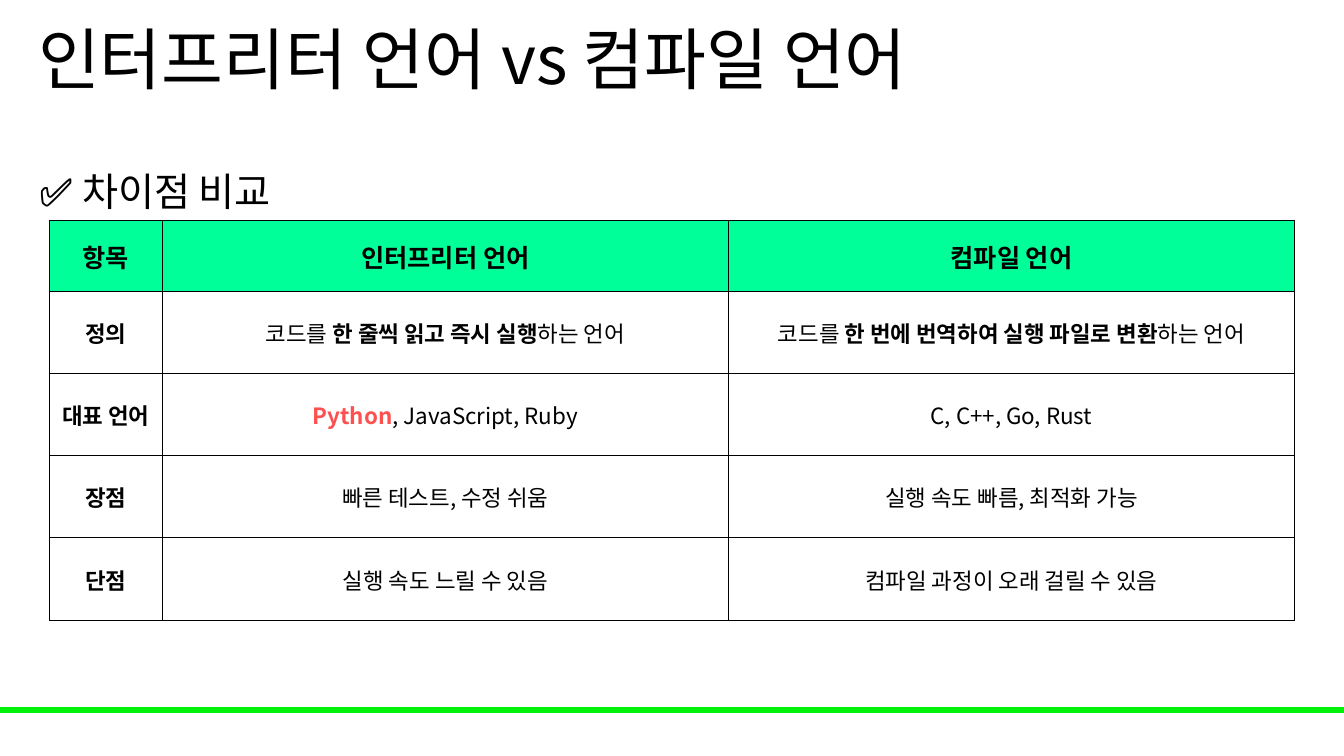
from dataclasses import dataclass

from lxml import etree
from pptx import Presentation
from pptx.dml.color import RGBColor
from pptx.enum import shapes, text
from pptx.oxml import ns
from pptx.util import Inches, Pt


@dataclass(frozen=True)
class Theme:
    font: str = "Noto Sans CJK KR"
    ink: str = "000000"
    accent: str = "FF5050"
    header: str = "00FF99"
    bar: str = "00F209"
    title: int = 48
    subtitle: int = 28
    head: int = 18
    body: int = 16
    border: float = 0.5


THEME = Theme()
HEADINGS = ["항목", "인터프리터 언어", "컴파일 언어"]
# A cell is a list of runs: (text, bold, colour)
PLAIN = (False, THEME.ink)
BOLD = (True, THEME.ink)
HIGHLIGHT = (True, THEME.accent)
ROWS = [
    ("정의",
     [("코드를 ", *PLAIN), ("한 줄씩 읽고 즉시 실행", *BOLD), ("하는 언어", *PLAIN)],
     [("코드를 ", *PLAIN), ("한 번에 번역하여 실행 파일로 변환", *BOLD), ("하는 언어", *PLAIN)]),
    ("대표 언어",
     [("Python", *HIGHLIGHT), (", JavaScript, Ruby", *PLAIN)],
     [("C, C++, Go, Rust", *PLAIN)]),
    ("장점",
     [("빠른 테스트, 수정 쉬움", *PLAIN)],
     [("실행 속도 빠름, 최적화 가능", *PLAIN)]),
    ("단점",
     [("실행 속도 느릴 수 있음", *PLAIN)],
     [("컴파일 과정이 오래 걸릴 수 있음", *PLAIN)]),
]


def add_runs(p, runs, size):
    for words, bold, color in runs:
        r = p.add_run()
        r.text = words
        r.font.name = THEME.font
        r.font.size = Pt(size)
        r.font.bold = bold
        r.font.color.rgb = RGBColor.from_string(color)
        ea = etree.SubElement(r.font._element, ns.qn("a:ea"))
        ea.set("typeface", THEME.font)


def add_line_of_text(s, box, words, size, anchor, spacing, before=0):
    tf = s.shapes.add_textbox(*map(Inches, box)).text_frame
    tf.word_wrap = True
    tf.vertical_anchor = anchor
    p = tf.paragraphs[0]
    p.line_spacing = spacing
    p.space_before = Pt(before)
    add_runs(p, [(words, *PLAIN)], size)


def add_bar(s, box):
    sp = s.shapes.add_shape(shapes.MSO_SHAPE.RECTANGLE, *map(Inches, box))
    sp.shadow.inherit = False
    sp.fill.solid()
    sp.fill.fore_color.rgb = RGBColor.from_string(THEME.bar)
    sp.line.color.rgb = RGBColor.from_string(THEME.bar)
    sp.line.width = Pt(1)


def set_borders(cell):
    """Outline all four sides; borders must come before the fill in tcPr."""
    tc_pr = cell._tc.get_or_add_tcPr()
    for i, side in enumerate(("lnL", "lnR", "lnT", "lnB")):
        ln = etree.Element(ns.qn(f"a:{side}"), w=str(Pt(THEME.border)))
        fill = etree.SubElement(ln, ns.qn("a:solidFill"))
        etree.SubElement(fill, ns.qn("a:srgbClr"), val=THEME.ink)
        tc_pr.insert(i, ln)


def fill_cell(cell, runs, size, color=None):
    cell.margin_left = cell.margin_right = cell.margin_top = Inches(0.01)
    cell.margin_bottom = 0
    cell.vertical_anchor = text.MSO_ANCHOR.MIDDLE
    if color:
        cell.fill.solid()
        cell.fill.fore_color.rgb = RGBColor.from_string(color)
    else:
        cell.fill.background()
    set_borders(cell)
    p = cell.text_frame.paragraphs[0]
    p.alignment = text.PP_ALIGN.CENTER
    add_runs(p, runs, size)


def add_comparison(s, box, label_width=1.12, header_height=0.7):
    _, _, width, height = box
    frame = s.shapes.add_table(len(ROWS) + 1, len(HEADINGS), *map(Inches, box))
    table = frame.table
    table.first_row = table.horz_banding = False
    for i, col in enumerate(table.columns):
        language_width = (width - label_width) / (len(HEADINGS) - 1)
        col.width = Inches(language_width if i else label_width)
    for i, row in enumerate(table.rows):
        body_height = (height - header_height) / len(ROWS)
        row.height = Inches(body_height if i else header_height)

    for c, heading in enumerate(HEADINGS):
        fill_cell(table.cell(0, c), [(heading, *BOLD)], THEME.head, THEME.header)
    for r, (label, *languages) in enumerate(ROWS, start=1):
        for c, runs in enumerate([[(label, *BOLD)], *languages]):
            fill_cell(table.cell(r, c), runs, THEME.body)


def main():
    prs = Presentation()
    prs.slide_width, prs.slide_height = Inches(13.33), Inches(7.5)
    s = prs.slides.add_slide(prs.slide_layouts[6])
    add_bar(s, (0, 7.02, 13.33, 0.05))
    add_line_of_text(s, (0.28, 0, 11.5, 1.25), "인터프리터 언어 vs 컴파일 언어",
                     THEME.title, text.MSO_ANCHOR.MIDDLE, 0.9)
    add_line_of_text(s, (0.29, 1.38, 11.5, 0.81), "✅ 차이점 비교",
                     THEME.subtitle, text.MSO_ANCHOR.TOP, 1.5, before=10)
    add_comparison(s, (0.49, 2.19, 12.35, 3.96))
    prs.save("out.pptx")


if __name__ == "__main__":
    main()
